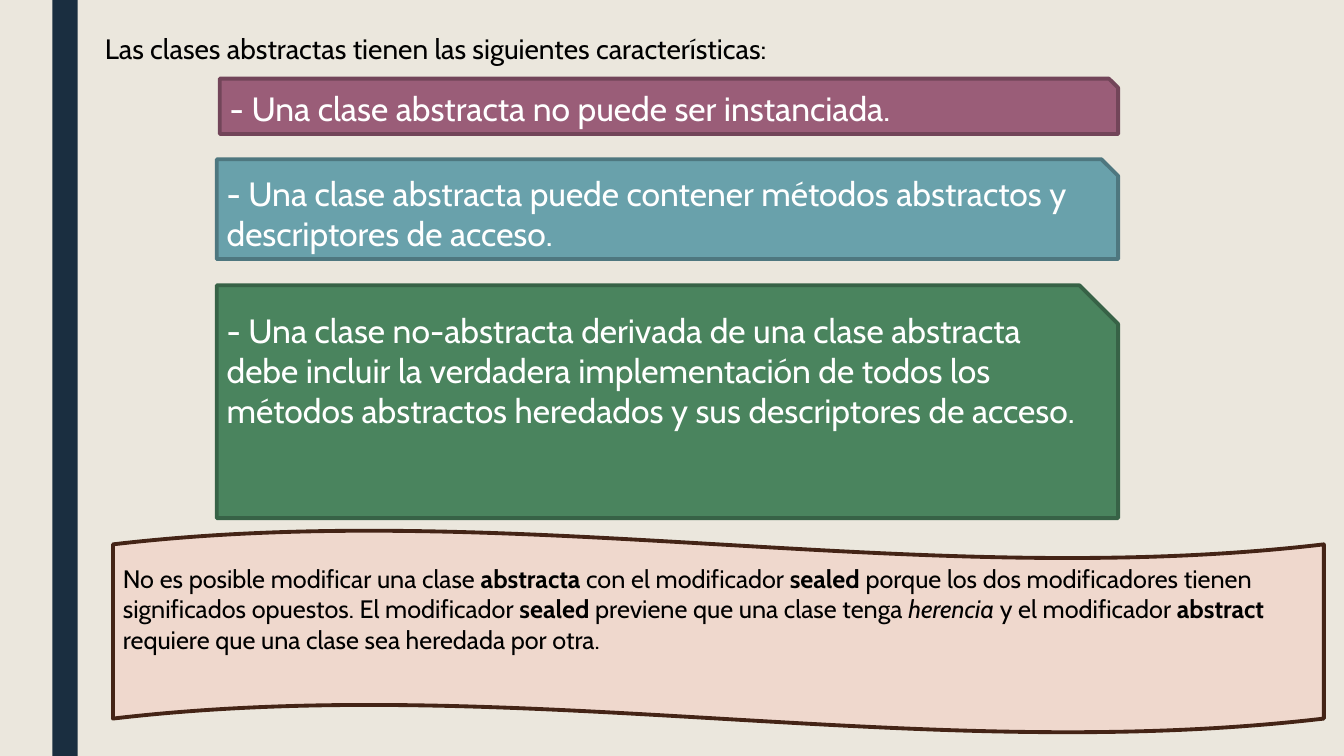
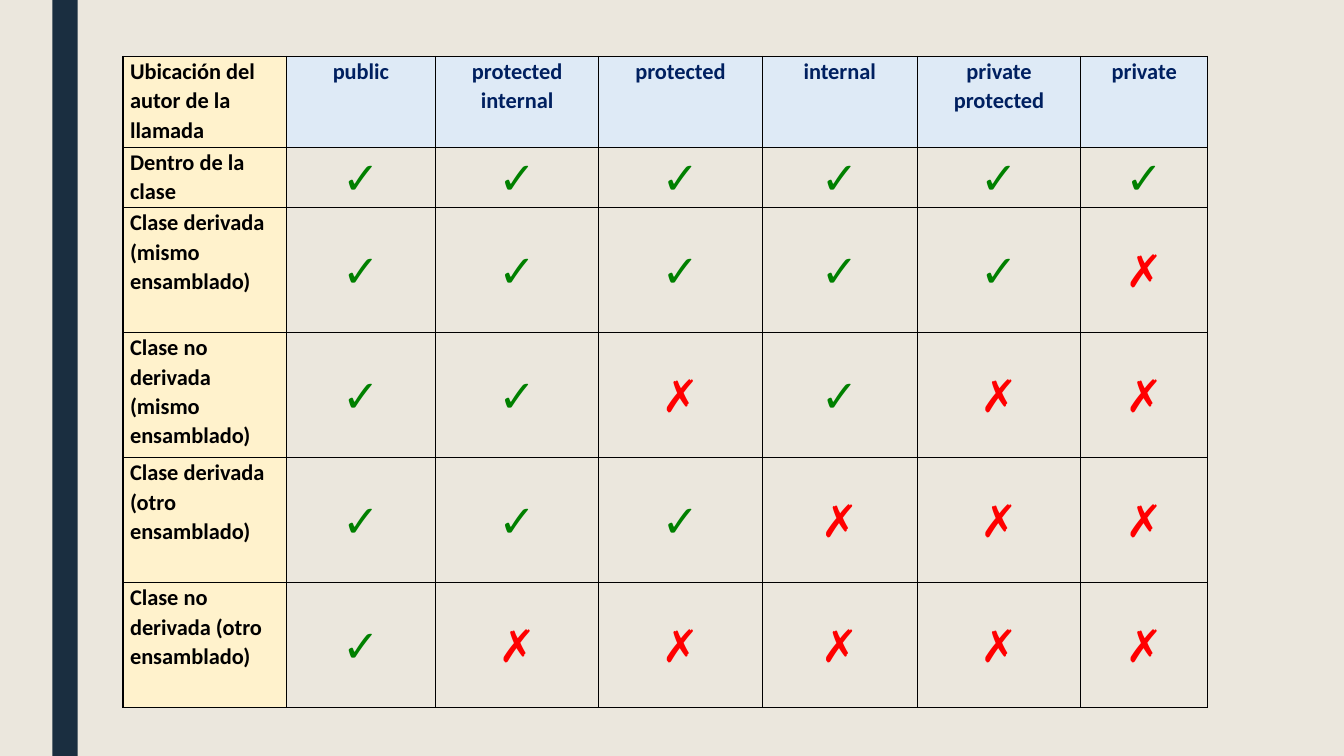
from dataclasses import dataclass
from typing import Any, NamedTuple

from lxml.etree import SubElement
from pptx import Presentation
from pptx.dml.color import RGBColor
from pptx.enum.shapes import MSO_SHAPE as Shape
from pptx.enum.text import MSO_ANCHOR as Anchor, MSO_AUTO_SIZE as AutoSize, PP_ALIGN as Align
from pptx.oxml.ns import qn
from pptx.util import Inches, Pt


@dataclass(frozen=True)
class Theme:
    """Colours, fonts and type sizes of the deck."""
    background: str = "EBE7DD"
    band: str = "1A2E40"
    ink: str = "000000"
    paper: str = "FFFFFF"
    side_head: str = "FFF2CC"
    top_head: str = "DEEAF6"
    top_ink: str = "002060"
    allowed: str = "008000"
    denied: str = "FF0000"
    text_font: str = "Cabin"
    table_font: str = "Calibri"
    title_size: int = 20
    rule_size: int = 24
    note_size: int = 18
    table_size: int = 16
    mark_size: int = 32
    outline: float = 2.75
    grid: int = 1


class Span(NamedTuple):
    """A stretch of text in one style."""
    text: str
    bold: bool = False
    italic: bool = False


class Panel(NamedTuple):
    """An outlined shape with text; place is left, top, width, height."""
    kind: Shape
    place: tuple[float, float, float, float]
    fill: str
    line: str
    ink: str
    size: int
    spans: list[Span]
    adjustments: tuple[float, ...] = ()


class CellStyle(NamedTuple):
    """Look of one kind of table cell."""
    ink: str
    size: int
    fill: str | None = None
    bold: bool = True
    align: Align = Align.CENTER
    anchor: Anchor = Anchor.TOP


THEME = Theme()
SNIP = Shape.SNIP_1_RECTANGLE
TITLE = "Las clases abstractas tienen las siguientes características:"
PANELS = [
    Panel(SNIP, (2.18, 0.78, 8.91, 0.55), "9A5D78", "724559", THEME.paper, THEME.rule_size,
          [Span("- Una clase abstracta no puede ser instanciada.")]),
    Panel(SNIP, (2.15, 1.58, 8.94, 0.99), "69A1AB", "4E777F", THEME.paper, THEME.rule_size,
          [Span("- Una clase abstracta puede contener métodos abstractos y "
                "descriptores de acceso.")]),
    Panel(SNIP, (2.15, 2.83, 8.94, 2.31), "4A845E", "376246", THEME.paper, THEME.rule_size,
          [Span("- Una clase no-abstracta derivada de una clase abstracta debe incluir la "
                "verdadera implementación de todos los métodos abstractos heredados y sus "
                "descriptores de acceso.")]),
    Panel(Shape.WAVE, (1.12, 5.26, 12.01, 2.01), "EFD8CD", "442416", THEME.ink, THEME.note_size,
          [Span("No es posible modificar una clase "), Span("abstracta", bold=True),
           Span(" con el modificador "), Span("sealed", bold=True),
           Span(" porque los dos modificadores tienen significados opuestos. El modificador "),
           Span("sealed", bold=True), Span(" previene que una clase tenga "),
           Span("herencia", italic=True), Span(" y el modificador "),
           Span("abstract", bold=True),
           Span(" requiere que una clase sea heredada por otra.")], (0.07, 0)),
]

CORNER = "Ubicación del autor de la llamada"
MODIFIERS = ["public", "protected internal", "protected", "internal",
             "private protected", "private"]
ALLOWED, DENIED = "✓", "✗"
ACCESS = {
    "Dentro de la clase": MODIFIERS,
    "Clase derivada (mismo ensamblado)": MODIFIERS[:5],
    "Clase no derivada (mismo ensamblado)": ["public", "protected internal", "internal"],
    "Clase derivada (otro ensamblado)": MODIFIERS[:3],
    "Clase no derivada (otro ensamblado)": MODIFIERS[:1],
}
COLUMN_WIDTHS = [1.62, 1.48, 1.62, 1.62, 1.54, 1.62, 1.26]
ROW_HEIGHTS = [0.9, 0.6] + [1.24] * 4

SIDE_CELL = CellStyle(THEME.ink, THEME.table_size, THEME.side_head, align=Align.LEFT)
TOP_CELL = CellStyle(THEME.top_ink, THEME.table_size, THEME.top_head)
MARK_CELLS = {
    mark: CellStyle(ink, THEME.mark_size, bold=False, anchor=Anchor.MIDDLE)
    for mark, ink in ((ALLOWED, THEME.allowed), (DENIED, THEME.denied))
}


def apply_format(target: Any, values: dict[str, Any]) -> None:
    """Set each named attribute of the target."""
    for name, value in values.items():
        setattr(target, name, value)


def paint(target: Any, colour: str) -> None:
    """Give a fill one solid colour."""
    target.solid()
    target.fore_color.rgb = RGBColor.from_string(colour)


def write(para: Any, spans: list[Span], font: str, size: int, ink: str) -> None:
    """Add styled spans to a paragraph."""
    for span in spans:
        run = para.add_run()
        run.text = span.text
        apply_format(run.font, {"name": font, "size": Pt(size),
                                "bold": span.bold, "italic": span.italic})
        run.font.color.rgb = RGBColor.from_string(ink)


def set_frame(frame: Any, left_margin: float = 0.1) -> None:
    """Make a text frame wrap from its top left corner."""
    apply_format(frame, {"word_wrap": True, "auto_size": AutoSize.NONE,
                         "vertical_anchor": Anchor.TOP, "margin_left": Inches(left_margin)})
    frame.paragraphs[0].alignment = Align.LEFT


def add_box(page: Any, kind: Shape, place: tuple[float, ...], fill: str) -> Any:
    """Draw a flat filled shape."""
    box = page.shapes.add_shape(kind, *map(Inches, place))
    box.shadow.inherit = False
    paint(box.fill, fill)
    return box


def add_panel(page: Any, panel: Panel) -> None:
    """Draw an outlined shape with its text."""
    box = add_box(page, panel.kind, panel.place, panel.fill)
    for index, value in enumerate(panel.adjustments):
        box.adjustments[index] = value
    box.line.color.rgb = RGBColor.from_string(panel.line)
    box.line.width = Pt(THEME.outline)
    set_frame(box.text_frame)
    write(box.text_frame.paragraphs[0], panel.spans, THEME.text_font, panel.size, panel.ink)


def style_master(deck: Any, page: Any) -> None:
    """Put the background and the side band on the master, by way of a page."""
    master = deck.slide_master
    paint(master.background.fill, THEME.background)
    band = add_box(page, Shape.RECTANGLE, (0.52, 0, 0.25, 7.5), THEME.band)
    band.line.fill.background()
    master.shapes.element.insert(2, band.element)


def add_title(page: Any, text: str) -> None:
    """Place and format the title placeholder."""
    title = page.shapes.title
    places = map(Inches, (0.88, 0.26, 12.01, 0.44))
    apply_format(title, dict(zip(("left", "top", "width", "height"), places)))
    set_frame(title.text_frame, left_margin=0.16)
    write(title.text_frame.paragraphs[0], [Span(text)],
          THEME.text_font, THEME.title_size, THEME.ink)


def add_borders(cell: Any) -> None:
    """Rule all four sides of a cell."""
    properties = cell._tc.get_or_add_tcPr()
    for side in ("a:lnL", "a:lnR", "a:lnT", "a:lnB"):
        line = SubElement(properties, qn(side), w=str(Pt(THEME.grid)))
        SubElement(SubElement(line, qn("a:solidFill")), qn("a:srgbClr"), val=THEME.ink)


def fill_cell(cell: Any, text: str, style: CellStyle) -> None:
    """Write and format one table cell."""
    add_borders(cell)
    if style.fill:
        paint(cell.fill, style.fill)
    else:
        cell.fill.background()
    apply_format(cell, {"margin_left": Inches(0.07), "margin_right": Inches(0.07),
                        "margin_top": 0, "margin_bottom": 0, "vertical_anchor": style.anchor})
    para = cell.text_frame.paragraphs[0]
    apply_format(para, {"alignment": style.align, "line_spacing": 1.07, "space_after": Pt(6)})
    write(para, [Span(text, bold=style.bold)], THEME.table_font, style.size, style.ink)


def add_access_table(page: Any) -> None:
    """Draw the table of callers against access modifiers."""
    place = (1.22, 0.56, sum(COLUMN_WIDTHS), sum(ROW_HEIGHTS))
    table = page.shapes.add_table(len(ROW_HEIGHTS), len(COLUMN_WIDTHS),
                                  *map(Inches, place)).table
    apply_format(table, {"first_row": False, "horz_banding": False})
    for column, width in zip(table.columns, COLUMN_WIDTHS):
        column.width = Inches(width)
    for row, height in zip(table.rows, ROW_HEIGHTS):
        row.height = Inches(height)

    rows = [[(CORNER, SIDE_CELL)] + [(name, TOP_CELL) for name in MODIFIERS]]
    for caller, allowed in ACCESS.items():
        marks = [ALLOWED if name in allowed else DENIED for name in MODIFIERS]
        rows.append([(caller, SIDE_CELL)] + [(mark, MARK_CELLS[mark]) for mark in marks])
    for row, contents in zip(table.rows, rows):
        for cell, (text, style) in zip(row.cells, contents):
            fill_cell(cell, text, style)


def build() -> None:
    """Build and save the deck."""
    deck = Presentation()
    apply_format(deck, {"slide_width": Inches(13.33), "slide_height": Inches(7.5)})
    title_only, blank = deck.slide_layouts[5], deck.slide_layouts[6]

    features = deck.slides.add_slide(title_only)
    style_master(deck, features)
    add_title(features, TITLE)
    for panel in PANELS:
        add_panel(features, panel)

    add_access_table(deck.slides.add_slide(blank))
    deck.save("out.pptx")


build()
